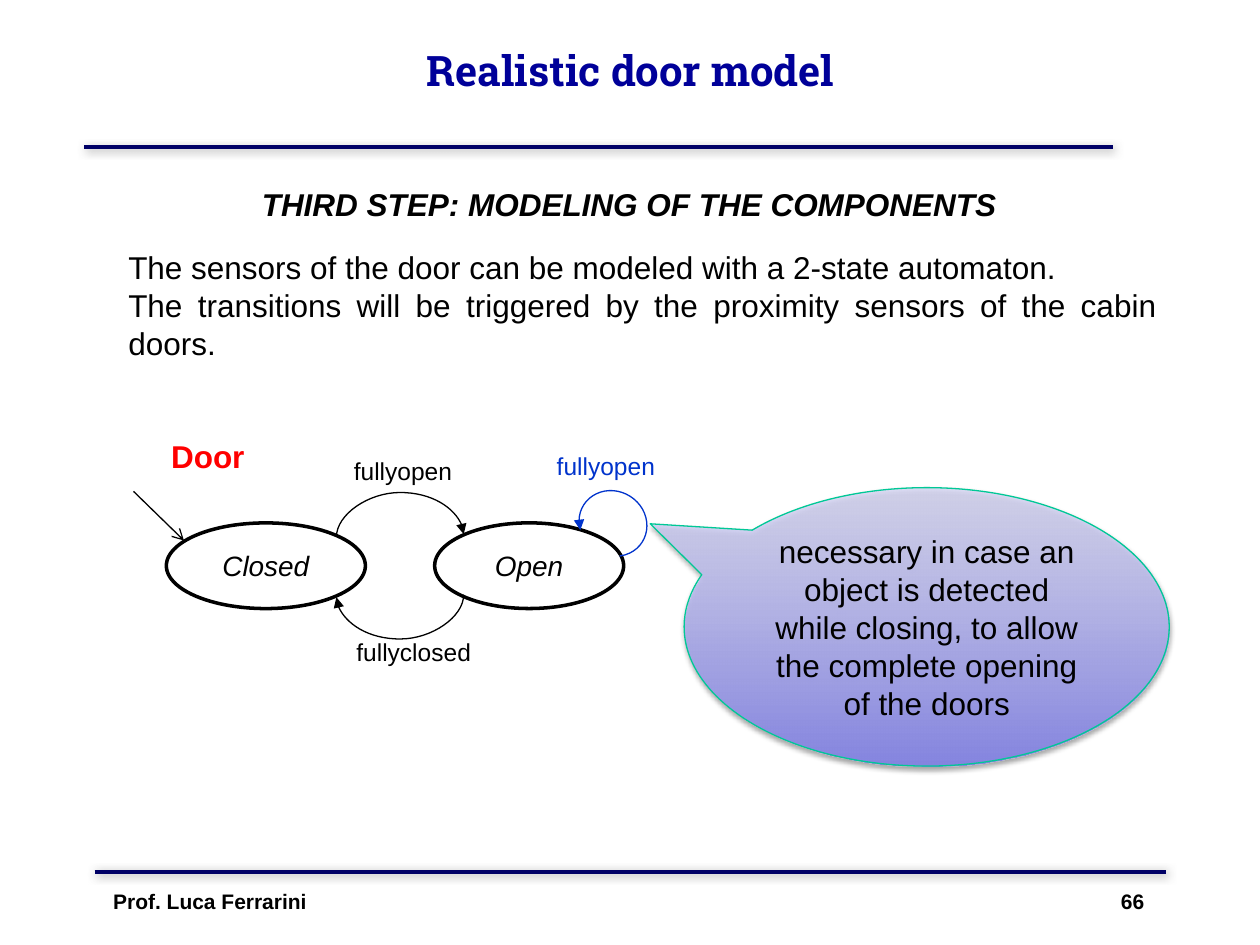
"""Build a slide that models a lift door as a two-state automaton."""
from dataclasses import dataclass

from lxml.etree import SubElement
from pptx import Presentation
from pptx.dml.color import RGBColor
from pptx.enum.shapes import MSO_CONNECTOR, MSO_SHAPE
from pptx.enum.text import MSO_ANCHOR, PP_ALIGN
from pptx.oxml.ns import qn
from pptx.util import Inches, Pt


@dataclass(frozen=True)
class Theme:
    """Colours, fonts and type sizes."""
    title_color: str = "000099"
    rule: str = "000066"
    ink: str = "000000"
    paper: str = "FFFFFF"
    accent: str = "FF0000"
    loop: str = "0033CC"
    callout_low: str = "8585E0"
    callout_high: str = "D6D6F5"
    callout_edge: str = "00C896"
    rule_shadow: tuple = ("808080", 75, 5, 1.4, 45)
    callout_shadow: tuple = ("000000", 35, 3.1, 1.8, 90)
    title_font: str = "Roboto Slab"
    font: str = "Arial"
    title: int = 24
    body: int = 18
    state: int = 16
    label: int = 14
    footer: int = 12
    thin: float = 0.75
    outline: float = 2
    thick: float = 2.25


class SlideBuilder:
    """Draw elements on a grid of 100 columns by 75 rows."""

    def __init__(self, deck, theme):
        """Add a title-only slide to the deck."""
        self.theme = theme
        self.cell = deck.slide_width / 100
        self.page = deck.slides.add_slide(deck.slide_layouts[5])

    def grid(self, *cells):
        """Turn grid cells into lengths."""
        return [round(value * self.cell) for value in cells]

    def fill_text(self, frame, text, size, color=None, font=None, align=PP_ALIGN.LEFT,
                  bold=False, italic=False):
        """Set and format the text of a frame."""
        frame.word_wrap = True
        frame.text = text
        for para in frame.paragraphs:
            para.alignment = align
            for span in para.runs:
                span.font.name = font or self.theme.font
                span.font.size = Pt(size)
                span.font.bold = bold
                span.font.italic = italic
                span.font.color.rgb = RGBColor.from_string(color or self.theme.ink)

    def stroke(self, item, color, width, **ends):
        """Set the outline of an item and its arrowheads."""
        item.line.color.rgb = RGBColor.from_string(color)
        item.line.width = Pt(width)
        outline = item._element.spPr.find(qn("a:ln"))
        for end, kind in ends.items():
            SubElement(outline, qn(f"a:{end}End"), type=kind)

    def effects(self, item, shadow=None):
        """Replace the inherited effects by an optional shadow."""
        effect_list = SubElement(item._element.spPr, qn("a:effectLst"))
        if shadow:
            color, alpha, blur, distance, angle = shadow
            outer = SubElement(effect_list, qn("a:outerShdw"), blurRad=str(int(Pt(blur))),
                               dist=str(int(Pt(distance))), dir=str(angle * 60000),
                               rotWithShape="0")
            tone = SubElement(outer, qn("a:srgbClr"), val=color)
            SubElement(tone, qn("a:alpha"), val=str(alpha * 1000))

    def title(self, text, *area):
        """Place and format the title."""
        box = self.page.shapes.title
        box.left, box.top, box.width, box.height = self.grid(*area)
        box.text_frame.vertical_anchor = MSO_ANCHOR.MIDDLE
        self.fill_text(box.text_frame, text, self.theme.title, self.theme.title_color,
                       self.theme.title_font, PP_ALIGN.CENTER, bold=True)

    def text(self, text, area, size, **style):
        """Add a text box."""
        box = self.page.shapes.add_textbox(*self.grid(*area))
        self.fill_text(box.text_frame, text, size, **style)

    def line(self, start, end, width, shadow=None, **ends):
        """Add a straight line."""
        line = self.page.shapes.add_connector(MSO_CONNECTOR.STRAIGHT,
                                              *self.grid(*start, *end))
        color = self.theme.rule if shadow else self.theme.ink
        self.stroke(line, color, width, **ends)
        self.effects(line, shadow)

    def transition(self, center, span, rise, upper):
        """Add a curved arrow that bulges above or below its ends."""
        thickness = 0.2
        column, row = center
        corners = [column - thickness / 2, row - span / 2,
                   column + thickness / 2, row + span / 2]
        if upper:
            corners = corners[2:] + corners[:2]
        curve = self.page.shapes.add_connector(MSO_CONNECTOR.CURVE, *self.grid(*corners))
        curve.rotation = 90
        guides = curve._element.spPr.find(qn("a:prstGeom")).find(qn("a:avLst"))
        SubElement(guides, qn("a:gd"), name="adj1",
                   fmla=f"val {round(rise / thickness * 100000)}")
        self.stroke(curve, self.theme.ink, self.theme.thin, tail="triangle")
        self.effects(curve)

    def state(self, name, *area):
        """Add a state of the automaton."""
        oval = self.page.shapes.add_shape(MSO_SHAPE.OVAL, *self.grid(*area))
        oval.shadow.inherit = False
        oval.fill.solid()
        oval.fill.fore_color.rgb = RGBColor.from_string(self.theme.paper)
        self.stroke(oval, self.theme.ink, self.theme.outline)
        oval.text_frame.vertical_anchor = MSO_ANCHOR.MIDDLE
        self.fill_text(oval.text_frame, name, self.theme.state, align=PP_ALIGN.CENTER,
                       italic=True)

    def self_loop(self, *area):
        """Add an arc that leads back to its state."""
        arc = self.page.shapes.add_shape(MSO_SHAPE.ARC, *self.grid(*area))
        arc.shadow.inherit = False
        arc.rotation = 32.5
        arc.adjustments[0], arc.adjustments[1] = 81.6, 27.6
        arc.fill.background()
        self.stroke(arc, self.theme.loop, self.theme.thin, head="triangle")

    def callout(self, text, *area):
        """Add an oval callout with a gradient."""
        bubble = self.page.shapes.add_shape(MSO_SHAPE.OVAL_CALLOUT, *self.grid(*area))
        bubble.adjustments[0], bubble.adjustments[1] = -0.57, -0.37
        bubble.fill.gradient()
        bubble.fill.gradient_angle = 90
        low, high = bubble.fill.gradient_stops
        low.position, high.position = 0, 1
        low.color.rgb = RGBColor.from_string(self.theme.callout_low)
        high.color.rgb = RGBColor.from_string(self.theme.callout_high)
        SubElement(high._gs.find(qn("a:srgbClr")), qn("a:alpha"), val="78000")
        self.stroke(bubble, self.theme.callout_edge, self.theme.thin)
        self.effects(bubble, self.theme.callout_shadow)
        bubble.text_frame.vertical_anchor = MSO_ANCHOR.MIDDLE
        self.fill_text(bubble.text_frame, text, self.theme.body, align=PP_ALIGN.CENTER)


def main():
    """Build and save the deck."""
    deck = Presentation()
    deck.slide_width, deck.slide_height = Inches(10), Inches(7.5)
    theme = Theme()
    slide = SlideBuilder(deck, theme)

    for start, end in (((6.7, 11.7), (88.3, 11.7)), ((7.5, 69.2), (92.5, 69.2))):
        slide.line(start, end, theme.thick, theme.rule_shadow)
    slide.title("Realistic door model", 9.2, -0.7, 81.7, 12.5)
    slide.text("Prof. Luca Ferrarini", (8, 70, 40, 5), theme.footer, bold=True)
    slide.text("66", (81.8, 70, 10, 5), theme.footer, align=PP_ALIGN.RIGHT, bold=True)
    slide.text("THIRD STEP: MODELING OF THE COMPONENTS", (18.1, 14.2, 63.7, 4),
               theme.body, align=PP_ALIGN.CENTER, bold=True, italic=True)
    slide.text("The sensors of the door can be modeled with a 2-state automaton.\n"
               "The transitions will be triggered by the proximity sensors of the "
               "cabin doors.", (9.2, 19.2, 83.6, 10.1), theme.body,
               align=PP_ALIGN.JUSTIFY)

    slide.line((10.6, 39), (14.6, 42.9), theme.thin, tail="arrow")
    slide.text("Door", (12.6, 34.2, 10, 4), theme.body, color=theme.accent, bold=True)
    slide.state("Closed", 13.2, 41.5, 15.8, 6.8)
    slide.state("Open", 34.5, 41.5, 15, 6.8)
    slide.transition((31.75, 42.5), 10.1, 3.5, upper=True)
    slide.transition((31.75, 47.3), 10.1, 3.5, upper=False)
    slide.text("fullyopen", (27.1, 35.7, 10, 3.4), theme.label)
    slide.text("fullyclosed", (27.3, 50.1, 11.5, 3.4), theme.label)
    slide.text("fullyopen", (43.2, 35.3, 12.5, 3.4), theme.label, color=theme.loop)
    slide.self_loop(45.9, 39, 5.5, 5.1)
    slide.callout("necessary in case an object is detected while closing, to allow "
                  "the complete opening of the doors", 54.3, 38.7, 38.5, 22.1)
    deck.save("out.pptx")


if __name__ == "__main__":
    main()
